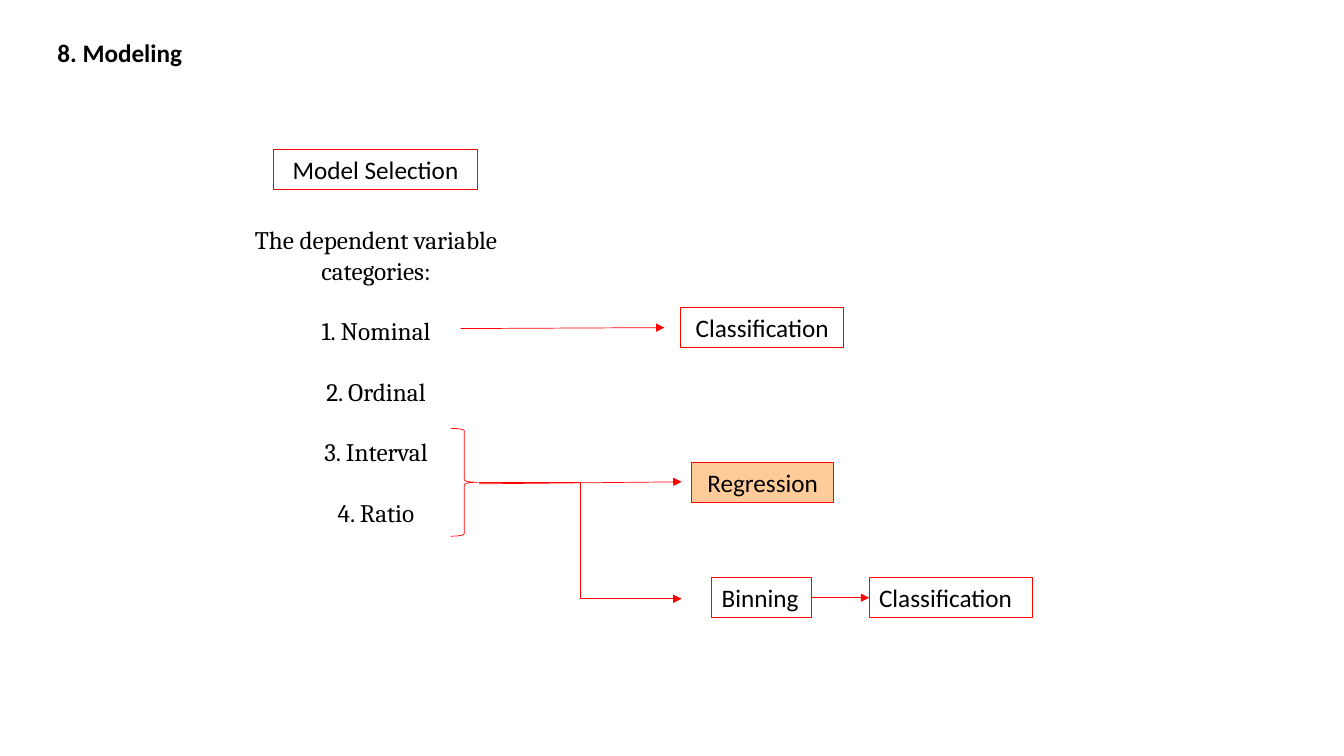
from lxml.etree import SubElement
from pptx import Presentation
from pptx.dml.color import RGBColor
from pptx.enum.shapes import MSO_CONNECTOR as Connector, MSO_SHAPE as Shape
from pptx.enum.text import MSO_ANCHOR as Anchor, MSO_AUTO_SIZE as AutoSize, PP_ALIGN as Align
from pptx.oxml.ns import qn
from pptx.util import Inches, Pt

RED = RGBColor(0xFF, 0x00, 0x00)
PEACH = RGBColor(0xFF, 0xCC, 0x99)
WHITE = RGBColor(0xFF, 0xFF, 0xFF)
BLACK = RGBColor(0x00, 0x00, 0x00)


class ModelingSlide:
    box_font = "Calibri"
    list_font = "Cambria"
    text_size = Pt(18)
    box_height = 0.4
    box_line = Pt(0.75)
    thin_line = Pt(0.5)

    def __init__(self, presentation):
        self.slide = presentation.slides.add_slide(presentation.slide_layouts[6])
        self.shapes = self.slide.shapes

    def add_run(self, paragraph, text, font_name, bold=False):
        run = paragraph.add_run()
        run.text = text
        run.font.name = font_name
        run.font.size = self.text_size
        run.font.bold = bold
        run.font.color.rgb = BLACK

    def outline(self, kind, left, top, width, height, color, weight, fill=None):
        shape = self.shapes.add_shape(
            kind, Inches(left), Inches(top), Inches(width), Inches(height))
        shape.shadow.inherit = False
        shape.line.color.rgb = color
        shape.line.width = weight
        if fill is None:
            shape.fill.background()
        else:
            shape.fill.solid()
            shape.fill.fore_color.rgb = fill
        return shape

    def box(self, text, left, top, width, align=Align.CENTER, line=RED,
            fill=None, bold=False, wrap=True):
        shape = self.outline(Shape.RECTANGLE, left, top, width, self.box_height,
                             line, self.box_line, fill)
        frame = shape.text_frame
        frame.word_wrap = wrap
        frame.auto_size = AutoSize.SHAPE_TO_FIT_TEXT
        frame.vertical_anchor = Anchor.TOP
        paragraph = frame.paragraphs[0]
        paragraph.alignment = align
        self.add_run(paragraph, text, self.box_font, bold)
        return shape

    def brace(self, left, top, width, height):
        return self.outline(Shape.RIGHT_BRACE, left, top, width, height,
                            RED, self.thin_line)

    def text_list(self, heading, items, left, top, width, height):
        text_box = self.shapes.add_textbox(
            Inches(left), Inches(top), Inches(width), Inches(height))
        frame = text_box.text_frame
        frame.word_wrap = True
        for index, text in enumerate([heading, *items]):
            paragraph = frame.add_paragraph() if index else frame.paragraphs[0]
            paragraph.alignment = Align.CENTER
            paragraph.space_before = Pt(21.6 if index else 0)
            self.add_run(paragraph, text, self.list_font)

    def arrow(self, start, end, kind=Connector.STRAIGHT):
        connector = self.shapes.add_connector(
            kind, *(Inches(value) for value in (*start, *end)))
        connector.line.color.rgb = RED
        connector.line.width = self.thin_line
        properties = connector.line._get_or_add_ln()
        SubElement(properties, qn("a:tailEnd"), type="triangle")
        SubElement(connector._element.spPr, qn("a:effectLst"))
        return connector


def main():
    presentation = Presentation()
    presentation.slide_width = Inches(13.33)
    presentation.slide_height = Inches(7.5)
    slide = ModelingSlide(presentation)

    slide.text_list("The dependent variable categories:",
                    ["1. Nominal", "2. Ordinal", "3. Interval", "4. Ratio"],
                    2.31, 2.18, 2.84, 3.13)
    slide.box("Model Selection", 2.71, 1.48, 2.03)

    slide.arrow((4.57, 3.26), (6.59, 3.25))
    slide.box("Classification", 6.75, 3.05, 1.62)

    slide.brace(4.47, 4.25, 0.27, 1.07)
    slide.arrow((4.75, 4.8), (6.76, 4.78))
    slide.box("Regression", 6.86, 4.59, 1.41, fill=PEACH)

    slide.arrow((4.75, 4.79), (6.76, 5.94), Connector.ELBOW)
    binned = slide.box("Classification", 8.62, 5.73, 1.62, Align.LEFT)
    binning = slide.box("Binning", 7.06, 5.73, 0.99, Align.LEFT)
    binning_arrow = slide.arrow((8.05, 5.93), (8.62, 5.93))
    binning_arrow.begin_connect(binning, 3)
    binning_arrow.end_connect(binned, 1)

    slide.box("8. Modeling", 0.47, 0.32, 1.45, Align.LEFT, line=WHITE,
              bold=True, wrap=False)
    presentation.save("out.pptx")


if __name__ == "__main__":
    main()
